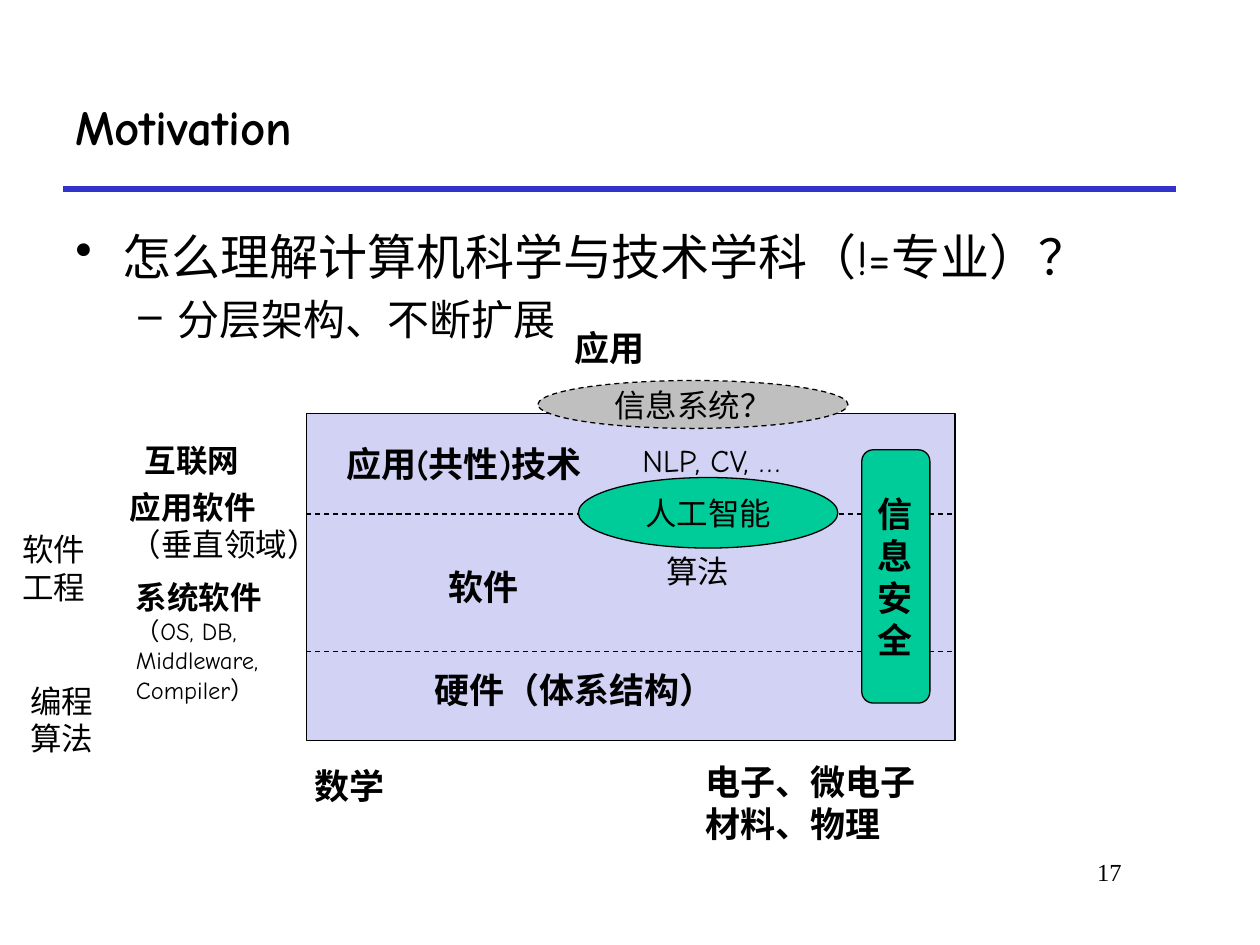
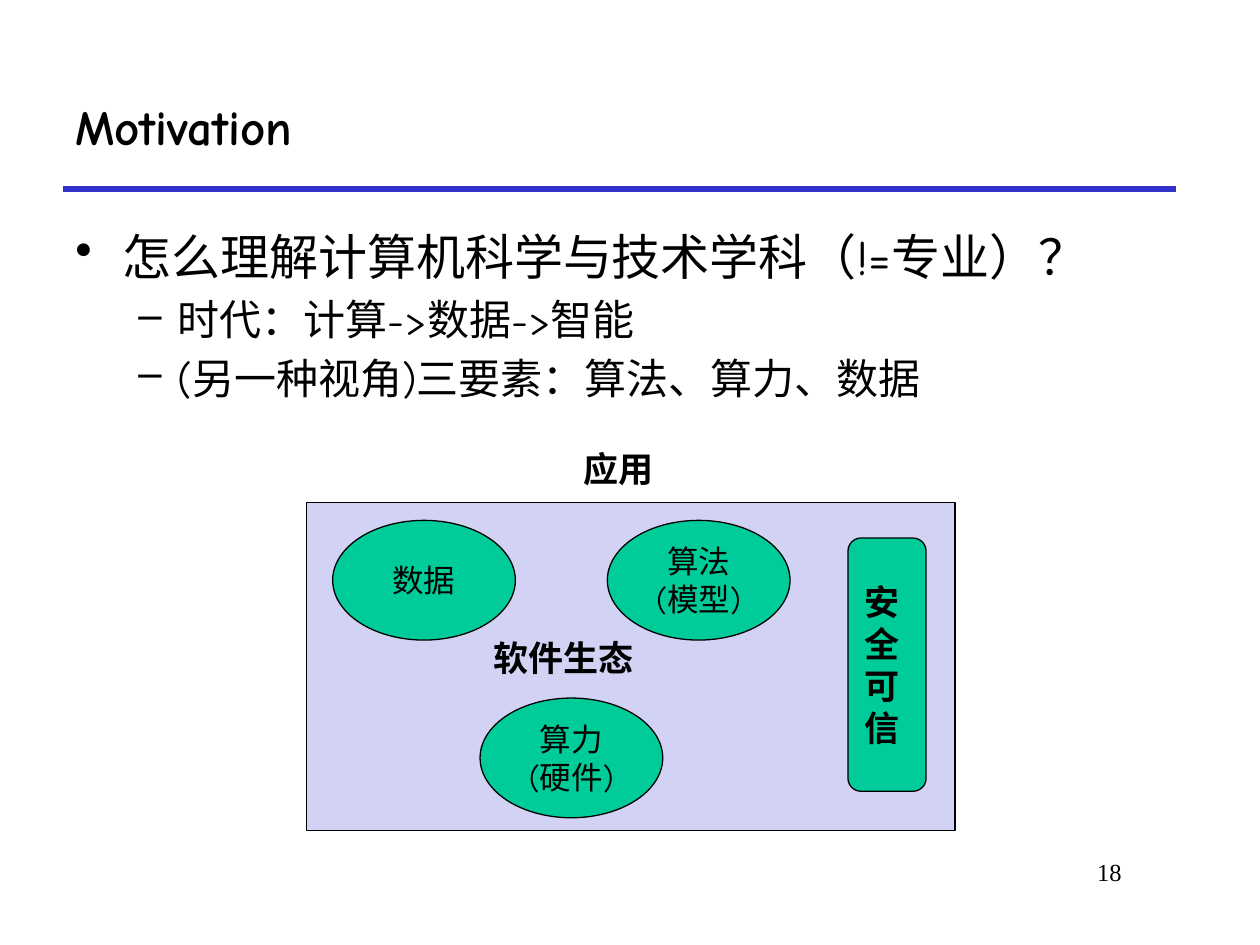
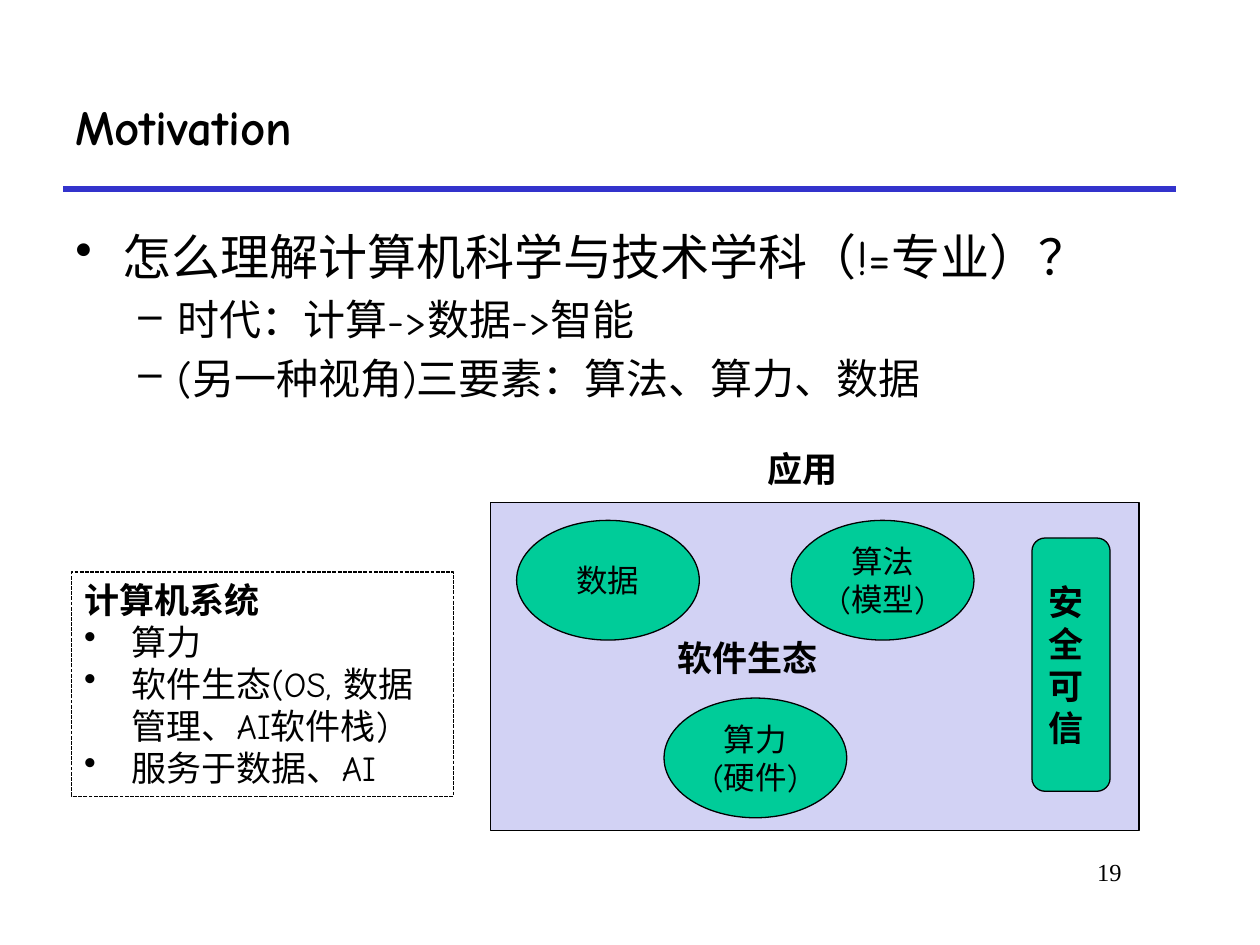
from dataclasses import dataclass, field
from lxml.etree import SubElement
from pptx import Presentation
from pptx.dml.color import RGBColor
from pptx.enum.dml import MSO_LINE
from pptx.enum.lang import MSO_LANGUAGE_ID
from pptx.enum.shapes import MSO_CONNECTOR, MSO_SHAPE
from pptx.enum.text import MSO_ANCHOR, PP_ALIGN
from pptx.oxml.ns import qn
from pptx.util import Inches, Pt

COLUMNS, ROWS = 100, 75  # square cells covering the slide
CELL = Inches(0.1)


@dataclass(frozen=True)
class Theme:
    ink: RGBColor = RGBColor(0x00, 0x00, 0x00)
    rule: RGBColor = RGBColor(0x33, 0x33, 0xCC)
    panel: RGBColor = RGBColor(0xD2, 0xD2, 0xF4)
    accent: RGBColor = RGBColor(0x00, 0xCC, 0x99)
    muted: RGBColor = RGBColor(0xBF, 0xBF, 0xBF)
    thin: float = 0.75
    thick: float = 3
    # style: (size, bold, font)
    styles: dict = field(default_factory=lambda: {
        "title": (28, True, "Comic Neue"),
        "point": (28, False, "Comic Neue"),
        "subpoint": (24, False, "Comic Neue"),
        "label": (20, True, "Comic Neue"),
        "item": (20, False, "Comic Neue"),
        "side": (18, True, "Comic Neue"),
        "plain": (18, False, "Comic Neue"),
        "small": (14, False, "Comic Neue"),
        "number": (14, False, "Times New Roman"),
    })
    # style: (bullet, left margin, hanging indent, space before)
    bullets: dict = field(default_factory=lambda: {
        "point": ("•", 3.75, 3.75, 0),
        "subpoint": ("–", 8.13, 3.13, 4.8),
        "item": ("•", 3.75, 3.75, 0),
    })


THEME = Theme()


@dataclass(frozen=True)
class Box:
    """A region in grid cells; inner() places a part relative to its corner."""
    left: float
    top: float
    width: float
    height: float

    def inner(self, left, top, width, height):
        return Box(self.left + left, self.top + top, width, height)

    def lengths(self):
        return [round(value * CELL)
                for value in (self.left, self.top, self.width, self.height)]


PAGE = Box(0, 0, COLUMNS, ROWS)


# Text and shape helpers
def apply(target, values):
    for name, value in values.items():
        setattr(target, name, value)


def add_bullet(para, style):
    mark, margin, hanging, before = THEME.bullets[style]
    properties = para._p.get_or_add_pPr()
    properties.set("marL", str(round(margin * CELL)))
    properties.set("indent", str(round(-hanging * CELL)))
    if before:
        para.space_before = Pt(before)
    SubElement(properties, qn("a:buChar")).set("char", mark)


def write(shape, lines, align=PP_ALIGN.LEFT, anchor=MSO_ANCHOR.TOP):
    """Fill a shape with (style, text) lines."""
    frame = shape.text_frame
    apply(frame, {"word_wrap": True, "vertical_anchor": anchor})
    for index, (style, text) in enumerate(lines):
        para = frame.add_paragraph() if index else frame.paragraphs[0]
        para.alignment = align
        if style in THEME.bullets:
            add_bullet(para, style)
        size, bold, name = THEME.styles[style]
        span = para.add_run()
        span.text = text
        apply(span.font, {"size": Pt(size), "bold": bold, "name": name,
                          "language_id": MSO_LANGUAGE_ID.SIMPLIFIED_CHINESE})
        span.font.color.rgb = THEME.ink


def add_text(page, box, style, *texts, **layout):
    shape = page.shapes.add_textbox(*box.lengths())
    write(shape, [(style, text) for text in texts], **layout)


def outline(line, color, width, dash=None):
    line.color.rgb = color
    apply(line, {"width": Pt(width), "dash_style": dash})


def add_figure(page, kind, box, fill=None, dash=None):
    shape = page.shapes.add_shape(kind, *box.lengths())
    shape.shadow.inherit = False
    if fill is None:
        shape.fill.background()
    else:
        shape.fill.solid()
        shape.fill.fore_color.rgb = fill
    outline(shape.line, THEME.ink, THEME.thin, dash)
    return shape


def add_oval(page, box, *texts, fill=THEME.accent, dash=None):
    oval = add_figure(page, MSO_SHAPE.OVAL, box, fill, dash)
    write(oval, [("plain", text) for text in texts],
          PP_ALIGN.CENTER, MSO_ANCHOR.MIDDLE)


def add_pillar(page, box, *texts):
    pillar = add_figure(page, MSO_SHAPE.ROUNDED_RECTANGLE, box, THEME.accent)
    write(pillar, [("label", text) for text in texts],
          anchor=MSO_ANCHOR.MIDDLE)


def add_rule(page, box, color, width, dash=None):
    left, top, span, _ = box.lengths()
    rule = page.shapes.add_connector(
        MSO_CONNECTOR.STRAIGHT, left, top, left + span, top)
    outline(rule.line, color, width, dash)
    SubElement(rule._element.spPr, qn("a:effectLst"))


# Parts every slide shares
def add_page(deck, number, subpoints):
    page = deck.slides.add_slide(deck.slide_layouts[6])
    add_rule(page, PAGE.inner(5, 15, 88.3, 0), THEME.rule, THEME.thick)
    add_text(page, PAGE.inner(5, 5, 88.3, 10), "title", "Motivation",
             anchor=MSO_ANCHOR.MIDDLE)
    body = page.shapes.add_textbox(*PAGE.inner(5, 17.5, 90.8, 9).lengths())
    write(body, [("point", "怎么理解计算机科学与技术学科（!=专业）？")]
          + [("subpoint", text) for text in subpoints])
    add_text(page, PAGE.inner(75.8, 67.5, 14.2, 5), "number", str(number),
             align=PP_ALIGN.RIGHT)
    return page


# Layered architecture
def draw_layers(page, box):
    add_figure(page, MSO_SHAPE.RECTANGLE, box, THEME.panel)
    for row in (8, 18.9):
        add_rule(page, box.inner(0, row, box.width, 0),
                 THEME.ink, THEME.thin, MSO_LINE.DASH)

    # Layer names, and the fields above and below the stack
    for left, top, width, *texts in (
            (20.3, -7.4, 22.7, "应用"),
            (2.2, 1.8, 29.8, "应用(共性)技术"),
            (10.3, 11.6, 29.8, "软件"),
            (9.2, 19.8, 29.8, "硬件（体系结构）"),
            (-0.3, 27.4, 10.2, "数学"),
            (30.7, 27.1, 22.7, "电子、微电子", "材料、物理")):
        add_text(page, box.inner(left, top, width, 4.4), "label", *texts)

    # Areas that cross the layers
    add_oval(page, box.inner(18.4, -2.6, 24.6, 3.8), "信息系统？",
             fill=THEME.muted, dash=MSO_LINE.DASH)
    add_oval(page, box.inner(21.6, 5.1, 20.6, 5.6), "人工智能")
    add_text(page, box.inner(25.7, 1.7, 15.9, 4), "plain", "NLP, CV, …")
    add_text(page, box.inner(27.6, 10.5, 15.9, 4), "plain", "算法")
    add_pillar(page, box.inner(44.1, 2.9, 5.4, 20.1), "信息安全")


def draw_side_notes(page, box):
    for left, top, width, height, *lines in (
            (9.7, 0, 10.6, 4, ("side", "互联网")),
            (8.5, 3.7, 18.8, 7.1, ("side", "应用软件"),
             ("plain", "（垂直领域）")),
            (9, 10.9, 18.8, 11.1, ("side", "系统软件"),
             ("small", "（OS, DB, Middleware, Compiler）")),
            (0, 7.1, 8.1, 7.1, ("plain", "软件"), ("plain", "工程")),
            (0.6, 19.1, 8.1, 7.1, ("plain", "编程"), ("plain", "算法"))):
        note = page.shapes.add_textbox(
            *box.inner(left, top, width, height).lengths())
        write(note, lines)


# Three elements: data, algorithms and computing power
def draw_elements(page, box):
    add_figure(page, MSO_SHAPE.RECTANGLE, box, THEME.panel)
    add_text(page, box.inner(21, -4.9, 22.7, 4.4), "label", "应用")
    add_text(page, box.inner(13.9, 10.1, 29.8, 4.4), "label", "软件生态")
    for left, top, *texts in ((2.1, 1.4, "数据"),
                              (23.9, 1.4, "算法", "(模型)"),
                              (13.8, 15.5, "算力", "(硬件)")):
        add_oval(page, box.inner(left, top, 14.5, 9.5), *texts)
    add_pillar(page, box.inner(43, 2.8, 6.2, 20.1), "安全", "可信")


def draw_system_card(page, box):
    card = add_figure(page, MSO_SHAPE.RECTANGLE, box,
                      dash=MSO_LINE.SQUARE_DOT)
    write(card, [("label", "计算机系统"),
                 ("item", "算力"),
                 ("item", "软件生态(OS, 数据管理、AI软件栈)"),
                 ("item", "服务于数据、AI")])


def main():
    deck = Presentation()
    apply(deck, {"slide_width": COLUMNS * CELL, "slide_height": ROWS * CELL})
    elements = ["时代：计算->数据->智能", "(另一种视角)三要素：算法、算力、数据"]

    page = add_page(deck, 17, ["分层架构、不断扩展"])
    draw_layers(page, PAGE.inner(24.3, 32.8, 51.5, 26))
    draw_side_notes(page, PAGE.inner(0.8, 34.5, 28, 26))

    page = add_page(deck, 18, elements)
    draw_elements(page, PAGE.inner(24.3, 39.9, 51.5, 26))

    page = add_page(deck, 19, elements)
    draw_elements(page, PAGE.inner(38.9, 39.9, 51.5, 26))
    draw_system_card(page, PAGE.inner(5.7, 45.4, 30.3, 17.8))

    deck.save("out.pptx")


if __name__ == "__main__":
    main()
